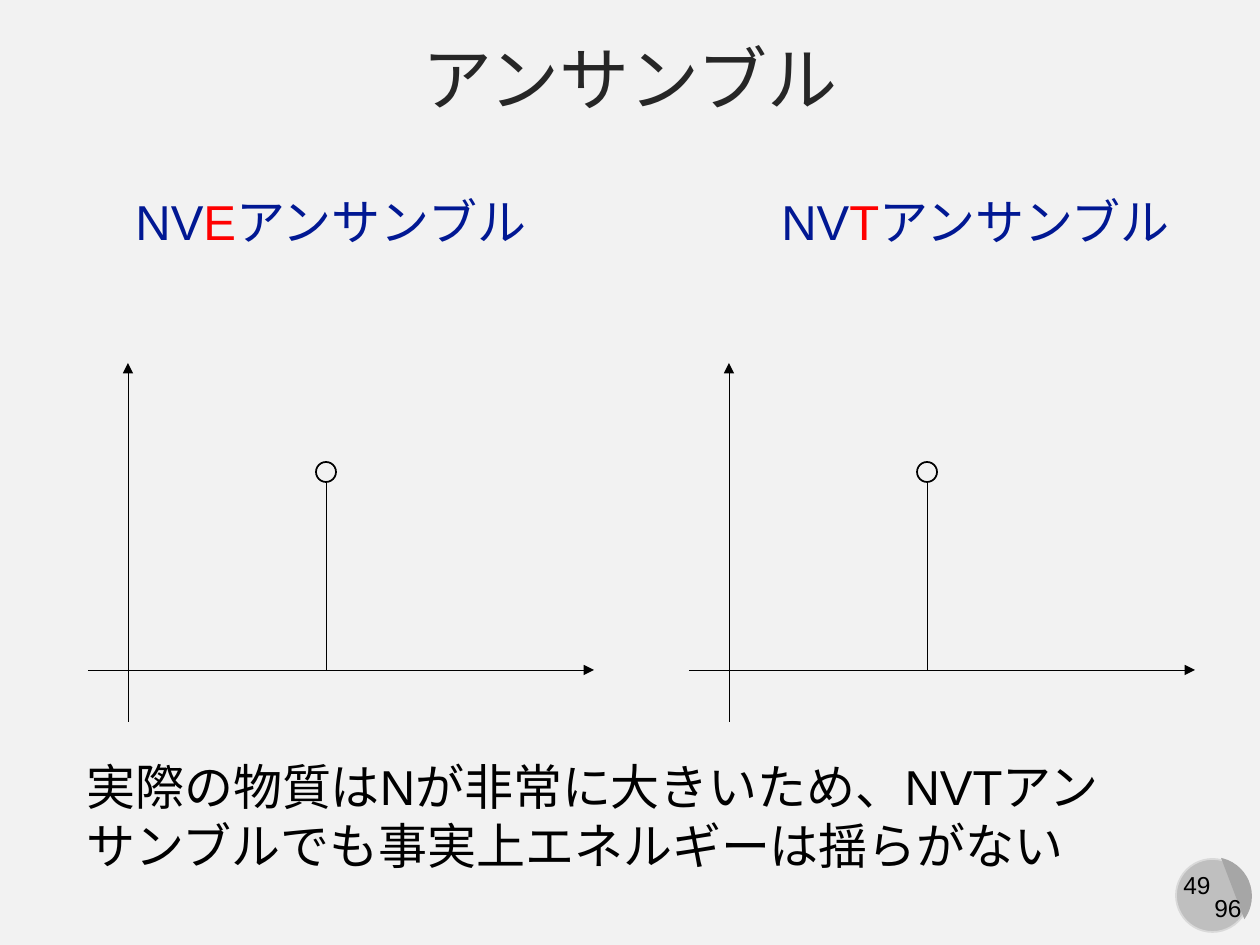
from lxml import etree
from pptx import Presentation
from pptx import util as u
from pptx.dml.color import RGBColor
from pptx.enum import shapes, text
from pptx.oxml.ns import qn

EMU_PER_PX = 914400 / 126
FONT = "Arial"
BLACK, NAVY, RED = "000000", "011893", "FF0000"


def px(length):
    return u.Emu(round(length * EMU_PER_PX))


def colour(value):
    return RGBColor.from_string(value)


class SlideBuilder:
    """Holds the style and the current slide."""

    def __init__(self, deck, background):
        self.page = deck.slides.add_slide(deck.slide_layouts[5])
        fill = self.page.background.fill
        fill.solid()
        fill.fore_color.rgb = colour(background)

    def add_spans(self, para, parts, size):
        for words, shade in parts:
            span = para.add_run()
            span.text = words
            span.font.name = FONT
            span.font.size = u.Pt(size)
            span.font.color.rgb = colour(shade)

    def title(self, left, top, width, height, words):
        box = self.page.shapes.title
        box.left, box.top, box.width, box.height = map(px, (left, top, width, height))
        box.text_frame.vertical_anchor = text.MSO_ANCHOR.MIDDLE
        para = box.text_frame.paragraphs[0]
        para.alignment = text.PP_ALIGN.CENTER
        self.add_spans(para, [(words, "262626")], 40)

    def label(self, left, top, width, height, parts, size=28, wrap=True,
              align=text.PP_ALIGN.LEFT):
        box = self.page.shapes.add_textbox(*map(px, (left, top, width, height)))
        box.text_frame.word_wrap = wrap
        para = box.text_frame.paragraphs[0]
        para.alignment = align
        self.add_spans(para, parts, size)

    def shape(self, kind, left, top, size, fill=None, line=None):
        shape = self.page.shapes.add_shape(kind, *map(px, (left, top, size, size)))
        shape.shadow.inherit = False
        if fill:
            shape.fill.solid()
            shape.fill.fore_color.rgb = colour(fill)
        else:
            shape.fill.background()
        if line:
            shape.line.color.rgb = colour(line)
            shape.line.width = u.Pt(1)
        else:
            shape.line.fill.background()
        return shape

    def line(self, x1, y1, x2, y2, arrow=False):
        line = self.page.shapes.add_connector(
            shapes.MSO_CONNECTOR.STRAIGHT, *map(px, (x1, y1, x2, y2)))
        line.line.color.rgb = colour(BLACK)
        line.line.width = u.Pt(0.5)
        properties = line._element.spPr
        if arrow:
            etree.SubElement(properties.find(qn("a:ln")), qn("a:tailEnd"),
                             type="triangle")
        etree.SubElement(properties, qn("a:effectLst"))

    def ensemble(self, left, heading_left, letter):
        """Heading and a single-peak distribution on a pair of axes."""
        self.label(heading_left, 185, 446, 72,
                   [("NV", NAVY), (letter, RED), ("アンサンブル", NAVY)])
        base, peak = 670, left + 238
        self.line(left, base, left + 506, base, arrow=True)
        self.line(left + 40, 722, left + 40, 363, arrow=True)
        self.line(peak, base, peak, 482)
        self.shape(shapes.MSO_SHAPE.OVAL, peak - 10, 462, 20, line=BLACK)

    def page_number(self, number, total):
        self.shape(shapes.MSO_SHAPE.OVAL, 1176, 859, 73, "BFBFBF", "D9D9D9")
        half = self.shape(shapes.MSO_SHAPE.CHORD, 1174, 857, 78, "A6A6A6")
        # Chord angles are in 60000ths of a degree, adjustments in 100000ths
        for index, degrees in enumerate((27, 141.42)):
            half.adjustments[index] = degrees * 0.6
        half.rotation = 255
        for left, top, words in ((1170, 864, number), (1201, 887, total)):
            self.label(left, top, 54, 43, [(words, BLACK)], 14, False,
                       text.PP_ALIGN.CENTER)


def main():
    deck = Presentation()
    deck.slide_width, deck.slide_height = px(1260), px(945)
    slide = SlideBuilder(deck, "F2F2F2")

    # Page badge and title
    slide.page_number("49", "96")
    slide.title(0, 26, 1260, 103, "アンサンブル")

    # Two ensembles side by side
    slide.ensemble(88, 123, "E")
    slide.ensemble(689, 769, "T")

    # Conclusion
    slide.label(74, 750, 1071, 131, [(
        "実際の物質はNが非常に大きいため、NVTアンサンブルでも"
        "事実上エネルギーは揺らがない", BLACK)])

    deck.save("out.pptx")


if __name__ == "__main__":
    main()
